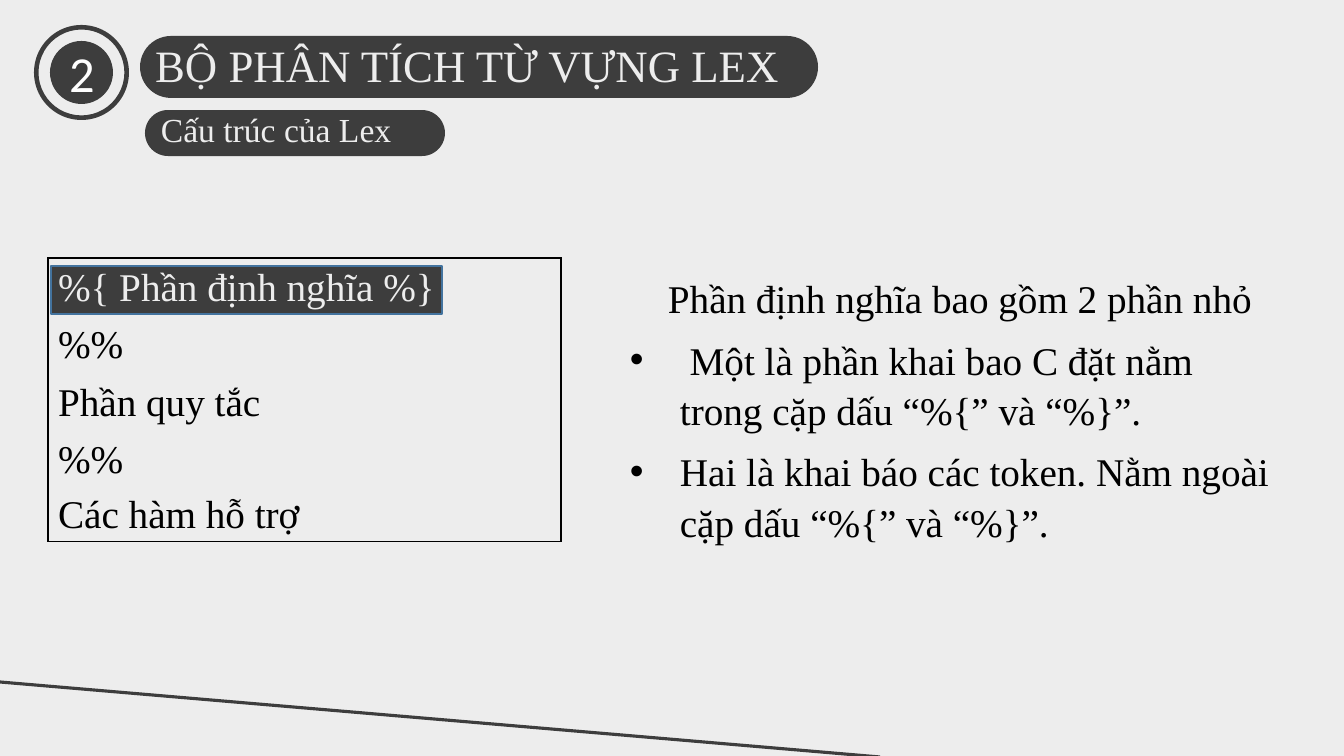
from dataclasses import dataclass

from lxml.etree import SubElement
from pptx import Presentation
from pptx.dml.color import RGBColor
from pptx.enum.shapes import MSO_CONNECTOR, MSO_SHAPE
from pptx.enum.text import MSO_ANCHOR, MSO_AUTO_SIZE, PP_ALIGN
from pptx.oxml.ns import qn
from pptx.util import Pt

EMU_PER_PX = 914400 / 100.8


def px(length):
    return round(length * EMU_PER_PX)


@dataclass(frozen=True)
class Theme:
    background: str = "EDEDED"
    dark: str = "3D3D3D"
    light: str = "EDEDED"
    white: str = "FFFFFF"
    black: str = "000000"
    highlight_line: str = "43739E"
    font: str = "Times New Roman"
    number_font: str = "Calibri"
    number_size: int = 36
    title_size: int = 32
    subtitle_size: int = 24
    body_size: int = 28
    line_spacing: float = 1.07
    space_after: int = 8


class SlideBuilder:
    def __init__(self, slide, theme):
        self.slide = slide
        self.theme = theme
        fill = slide.background.fill
        fill.solid()
        fill.fore_color.rgb = RGBColor.from_string(theme.background)

    def format_text(self, paragraph, size, color, font=None):
        for run in paragraph.runs:
            run.font.name = font or self.theme.font
            run.font.size = Pt(size)
            run.font.color.rgb = RGBColor.from_string(color)

    def space_paragraph(self, paragraph):
        paragraph.line_spacing = self.theme.line_spacing
        paragraph.space_after = Pt(self.theme.space_after)

    def shape(self, kind, left, top, width, height, adjustment=None, line=None):
        shape = self.slide.shapes.add_shape(kind, px(left), px(top), px(width), px(height))
        shape.shadow.inherit = False
        shape.fill.solid()
        shape.fill.fore_color.rgb = RGBColor.from_string(self.theme.dark)
        if adjustment is not None:
            shape.adjustments[0] = adjustment
        if line:
            shape.line.color.rgb = RGBColor.from_string(line)
            shape.line.width = Pt(1)
        else:
            shape.line.fill.background()
        return shape

    def number_badge(self, text, left, top, size):
        circle = self.shape(MSO_SHAPE.OVAL, left, top, size, size)
        frame = circle.text_frame
        frame.text = text
        frame.vertical_anchor = MSO_ANCHOR.MIDDLE
        paragraph = frame.paragraphs[0]
        paragraph.alignment = PP_ALIGN.CENTER
        self.format_text(paragraph, self.theme.number_size, self.theme.white, self.theme.number_font)

    def title(self, text, left, top, width, height):
        title = self.slide.shapes.title
        title.left, title.top, title.width, title.height = map(px, (left, top, width, height))
        frame = title.text_frame
        frame.text = text
        frame.word_wrap = True
        frame.auto_size = MSO_AUTO_SIZE.NONE
        frame.vertical_anchor = MSO_ANCHOR.TOP
        paragraph = frame.paragraphs[0]
        paragraph.alignment = PP_ALIGN.LEFT
        paragraph.line_spacing = 1.0
        self.format_text(paragraph, self.theme.title_size, self.theme.light)
        # Bring the title in front of its pill
        title.element.getparent().append(title.element)

    def text_box(self, text, left, top, width, height, size, color):
        box = self.slide.shapes.add_textbox(px(left), px(top), px(width), px(height))
        frame = box.text_frame
        frame.text = text
        frame.word_wrap = True
        for paragraph in frame.paragraphs:
            self.format_text(paragraph, size, color)
        return box

    def explanation(self, intro, bullets, left, top, width, height):
        """Add an indented opening line followed by bulleted points."""
        box = self.text_box("\n".join([intro, *bullets]), left, top, width, height,
                            self.theme.body_size, self.theme.black)
        first, *points = box.text_frame.paragraphs
        self.space_paragraph(first)
        first._p.get_or_add_pPr().set("indent", str(px(38)))
        for paragraph in points:
            self.space_paragraph(paragraph)
            properties = paragraph._p.get_or_add_pPr()
            properties.set("marL", str(px(50)))
            properties.set("indent", str(-px(50)))
            SubElement(properties, qn("a:buFont")).set("typeface", "Arial")
            SubElement(properties, qn("a:buChar")).set("char", "•")

    def code_table(self, lines, left, top, width, height):
        """Add a one-cell bordered table whose first line is highlighted."""
        table = self.slide.shapes.add_table(1, 1, px(left), px(top), px(width), px(height)).table
        table.first_row = table.horz_banding = False
        cell = table.cell(0, 0)
        cell.text = "\n".join(lines)
        paragraphs = cell.text_frame.paragraphs
        for index, paragraph in enumerate(paragraphs):
            color = self.theme.black if index else self.theme.light
            self.format_text(paragraph, self.theme.body_size, color)
        for paragraph in paragraphs[:-1]:
            self.space_paragraph(paragraph)
        properties = cell._tc.get_or_add_tcPr()
        for side in ("lnL", "lnR", "lnT", "lnB"):
            border = SubElement(properties, qn(f"a:{side}"), w=str(Pt(1)))
            fill = SubElement(border, qn("a:solidFill"))
            SubElement(fill, qn("a:srgbClr"), val=self.theme.black)
        cell.fill.background()

    def line(self, start, end):
        line = self.slide.shapes.add_connector(
            MSO_CONNECTOR.STRAIGHT, *map(px, start), *map(px, end))
        line.line.color.rgb = RGBColor.from_string(self.theme.dark)
        line.line.width = Pt(2.25)
        SubElement(line._element.spPr, qn("a:effectLst"))


def main():
    presentation = Presentation()
    presentation.slide_width, presentation.slide_height = px(1344), px(756)
    theme = Theme()
    builder = SlideBuilder(presentation.slides.add_slide(presentation.slide_layouts[5]), theme)

    builder.shape(MSO_SHAPE.RECTANGLE, 51, 266, 391, 48, line=theme.highlight_line)
    builder.code_table(
        ["%{ Phần định nghĩa %}", "%%", "Phần quy tắc", "%%", "Các hàm hỗ trợ"],
        48, 258, 513, 283)
    builder.explanation(
        "Phần định nghĩa bao gồm 2 phần nhỏ",
        [" Một là phần khai bao C đặt nằm trong cặp dấu “%{” và “%}”.",
         "Hai là khai báo các token. Nằm ngoài cặp dấu “%{” và “%}”."],
        620, 266, 672, 283)

    builder.shape(MSO_SHAPE.ROUNDED_RECTANGLE, 145, 110, 300, 46, 0.5)
    builder.shape(MSO_SHAPE.ROUNDED_RECTANGLE, 140, 36, 678, 62, 0.5)
    builder.shape(MSO_SHAPE.DONUT, 34, 25, 95, 95, 0.048)
    builder.number_badge("2", 50, 41, 63)
    builder.title("BỘ PHÂN TÍCH TỪ VỰNG LEX", 145, 33, 651, 65)
    builder.text_box("Cấu trúc của Lex", 151, 104, 396, 50, theme.subtitle_size, theme.light)
    builder.line((0, 682), (880, 757))

    presentation.save("out.pptx")


if __name__ == "__main__":
    main()
